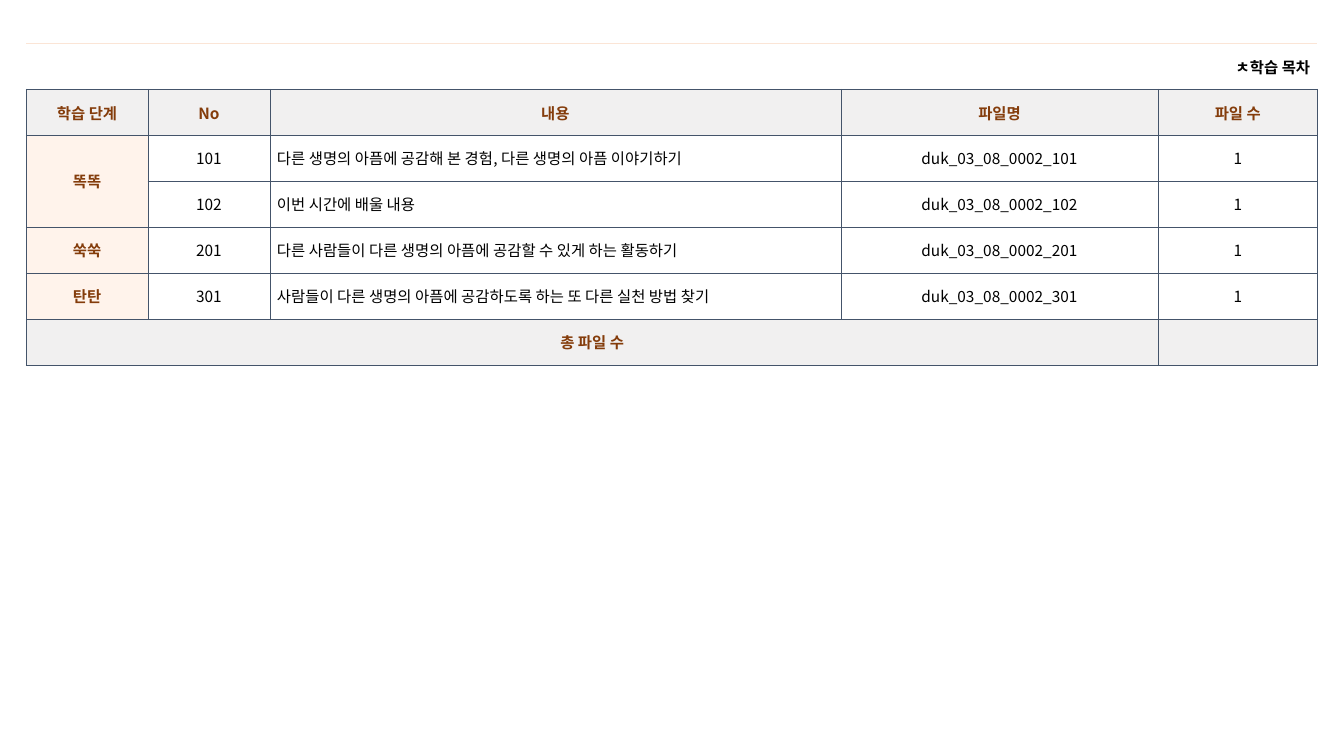
from dataclasses import dataclass

from lxml import etree
from pptx import Presentation
from pptx.dml.color import RGBColor
from pptx.enum import text
from pptx.oxml import ns
from pptx.util import Cm, Pt


@dataclass(frozen=True)
class Theme:
    font: str = "Noto Sans CJK KR"
    size: float = 11
    ink: str = "000000"
    accent: str = "843C0B"
    header: str = "F1F0F0"
    stage: str = "FFF3EB"
    body: str = "FFFFFF"
    grid: str = "44546A"
    top_rule: str = "FBE5D6"


THEME = Theme()
LEFT, CENTER, RIGHT = (text.PP_ALIGN.LEFT, text.PP_ALIGN.CENTER,
                       text.PP_ALIGN.RIGHT)

CAPTION = "ㅊ학습 목차"
HEADINGS = ["학습 단계", "No", "내용", "파일명", "파일 수"]
LESSONS = [
    ("똑똑", "101", "다른 생명의 아픔에 공감해 본 경험, 다른 생명의 아픔 이야기하기"),
    ("", "102", "이번 시간에 배울 내용"),
    ("쑥쑥", "201", "다른 사람들이 다른 생명의 아픔에 공감할 수 있게 하는 활동하기"),
    ("탄탄", "301", "사람들이 다른 생명의 아픔에 공감하도록 하는 또 다른 실천 방법 찾기"),
]
TOTAL = "총 파일 수"
COLUMN_SHARES = [3.07, 3.07, 14.39, 8, 4.01]


def set_border(cell, side, color=None, width=0.5):
    """Draw one cell edge, or hide it when no colour is given."""
    tc_pr = cell._tc.get_or_add_tcPr()
    ln = etree.SubElement(tc_pr, ns.qn(f"a:ln{side}"), w=str(Pt(width)))
    if color is None:
        etree.SubElement(ln, ns.qn("a:noFill"))
    else:
        fill = etree.SubElement(ln, ns.qn("a:solidFill"))
        etree.SubElement(fill, ns.qn("a:srgbClr"), val=color)


def write_cell(cell, words, align=CENTER, bold=False, color=THEME.ink):
    cell.vertical_anchor = text.MSO_ANCHOR.MIDDLE
    cell.margin_left = cell.margin_right = Cm(0.18)
    cell.margin_top = cell.margin_bottom = Cm(0.13)
    p = cell.text_frame.paragraphs[0]
    p.alignment = align
    r = p.add_run()
    r.text = words
    r.font.name = THEME.font
    r.font.size = Pt(THEME.size)
    r.font.bold = bold
    r.font.color.rgb = RGBColor.from_string(color)
    etree.SubElement(r.font._element, ns.qn("a:ea"), typeface=THEME.font)


def paint_cell(cell, color):
    for side in "LRTB":
        set_border(cell, side, THEME.grid)
    cell.fill.solid()
    cell.fill.fore_color.rgb = RGBColor.from_string(color)


def add_caption_row(table):
    """Unfilled row with a faint rule on top."""
    for cell in table.rows[0].cells:
        set_border(cell, "L")
        set_border(cell, "R")
        set_border(cell, "T", THEME.top_rule, 0.25)
        set_border(cell, "B", THEME.grid)
        cell.fill.background()
    write_cell(table.cell(0, 0), CAPTION, RIGHT, True)
    table.cell(0, 0).merge(table.cell(0, len(HEADINGS) - 1))


def add_accent_row(table, row, labels):
    for cell, label in zip(table.rows[row].cells, labels):
        paint_cell(cell, THEME.header)
        write_cell(cell, label, bold=True, color=THEME.accent)


def add_lesson_row(table, row, stage, number, content):
    first, *others = table.rows[row].cells
    paint_cell(first, THEME.stage)
    write_cell(first, stage, bold=True, color=THEME.accent)
    values = [number, content, f"duk_03_08_0002_{number}", "1"]
    for cell, value in zip(others, values):
        paint_cell(cell, THEME.body)
        write_cell(cell, value, LEFT if value == content else CENTER)


def add_contents_table(s, left, top, width, height):
    last = len(LESSONS) + 2
    table = s.shapes.add_table(last + 1, len(HEADINGS),
                               left, top, width, height).table
    table.first_row = table.horz_banding = False
    for column, share in zip(table.columns, COLUMN_SHARES):
        column.width = int(width * share / sum(COLUMN_SHARES))
    for row in table.rows:
        row.height = height // (last + 1)

    # Caption and headings
    add_caption_row(table)
    add_accent_row(table, 1, HEADINGS)

    # Lessons; a stage without a name belongs to the row above
    for row, lesson in enumerate(LESSONS, start=2):
        add_lesson_row(table, row, *lesson)
        if not lesson[0]:
            table.cell(row - 1, 0).merge(table.cell(row, 0))

    # Total
    add_accent_row(table, last, [TOTAL, "", "", "", ""])
    table.cell(last, 0).merge(table.cell(last, len(HEADINGS) - 2))


def main():
    prs = Presentation()
    prs.slide_width, prs.slide_height = Cm(33.87), Cm(19.05)
    s = prs.slides.add_slide(prs.slide_layouts[6])
    add_contents_table(s, Cm(0.66), Cm(1.09), Cm(32.54), Cm(8.11))
    prs.save("out.pptx")


if __name__ == "__main__":
    main()
